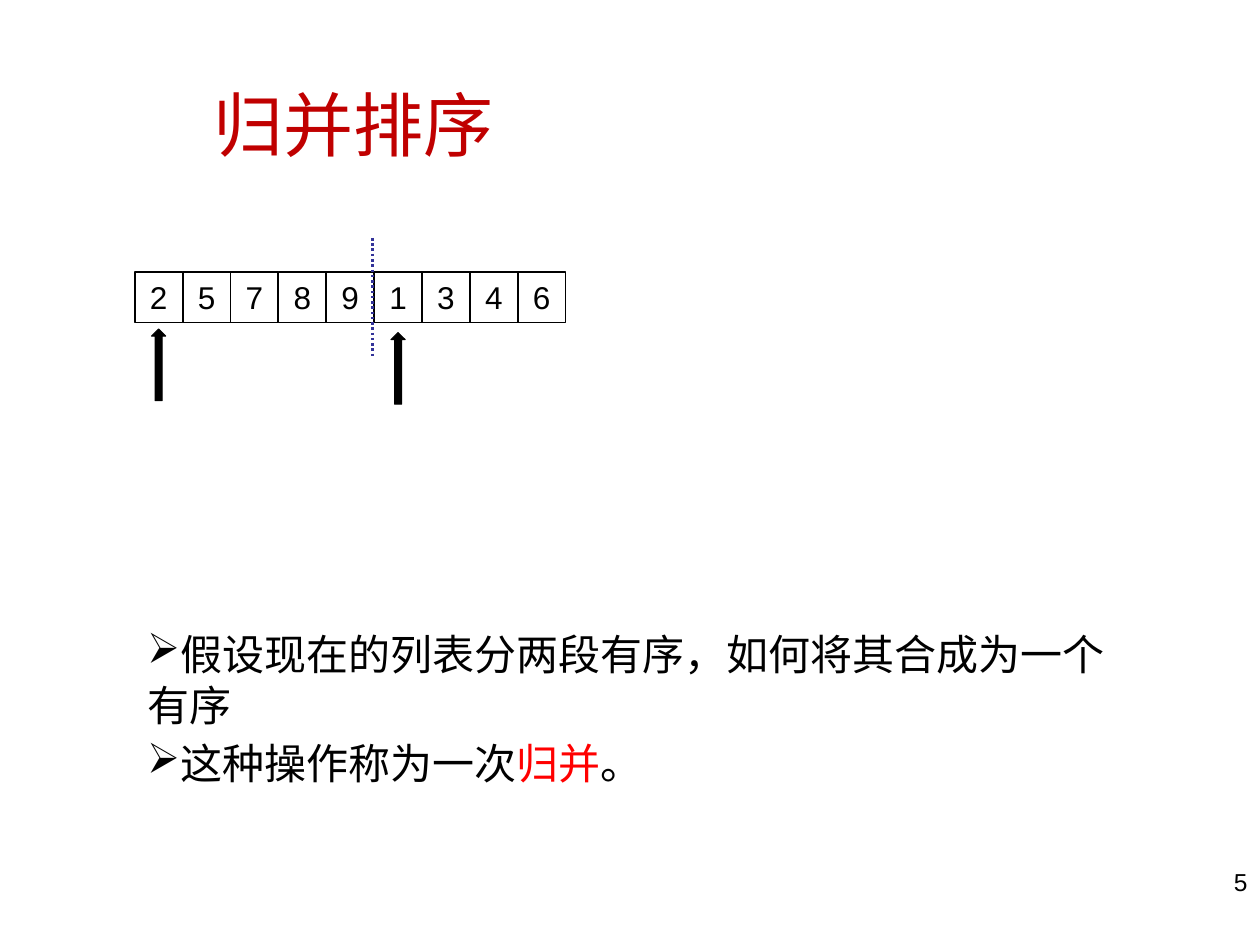
import dataclasses

import pptx
import pptx.dml.color
import pptx.enum.dml
import pptx.enum.shapes
import pptx.enum.text
import pptx.oxml.xmlchemy
import pptx.util
from lxml import etree
from pptx.oxml import ns

Pt = pptx.util.Pt
Color = pptx.dml.color.RGBColor
Align = pptx.enum.text.PP_ALIGN
Anchor = pptx.enum.text.MSO_ANCHOR
Shape = pptx.enum.shapes.MSO_SHAPE


@dataclasses.dataclass(frozen=True)
class Theme:
    ink: Color = Color(0, 0, 0)
    paper: Color = Color(255, 255, 255)
    title: Color = Color(0xC0, 0, 0)
    accent: Color = Color(255, 0, 0)
    divider: Color = Color(0x33, 0x33, 0x99)
    title_font: str = "Noto Sans CJK SC"
    body_font: str = "Arial"
    title_size: int = 40
    body_size: int = 24
    cell_size: int = 18
    number_size: int = 14


THEME = Theme()
VALUES = [2, 5, 7, 8, 9, 1, 3, 4, 6]
CELL_LEFT, CELL_TOP, CELL_WIDTH, CELL_HEIGHT = 77, 155.5, 27.36, 28.8
ARROW_WIDTH, ARROW_HEIGHT = 8.2, 41
STATEMENTS = [
    [("假设现在的列表分两段有序，如何将其合成为一个有序", THEME.ink)],
    [("这种操作称为一次", THEME.ink), ("归并", THEME.accent), ("。", THEME.ink)],
]


def format_font(para, size, color=THEME.ink, name=THEME.body_font):
    para.font.size = Pt(size)
    para.font.name = name
    para.font.color.rgb = color


def set_title(page, text):
    title = page.shapes.title
    title.left, title.top, title.width, title.height = Pt(33), Pt(63.4), Pt(338.4), Pt(34.6)
    frame = title.text_frame
    frame.text = text
    frame.auto_size = pptx.enum.text.MSO_AUTO_SIZE.NONE
    frame.vertical_anchor = Anchor.BOTTOM
    para = frame.paragraphs[0]
    para.alignment = Align.CENTER
    format_font(para, THEME.title_size, THEME.title, THEME.title_font)


def add_text_box(page, left, top, width, height):
    box = page.shapes.add_textbox(Pt(left), Pt(top), Pt(width), Pt(height))
    box.text_frame.word_wrap = True
    return box.text_frame


def add_bullet(para, symbol):
    properties = para._p.get_or_add_pPr()
    properties.set("marL", "0")
    properties.set("indent", "0")
    etree.SubElement(properties, ns.qn("a:buChar")).set("char", symbol)


def add_statements(page):
    frame = add_text_box(page, 77, 355.7, 568, 130.3)
    for index, spans in enumerate(STATEMENTS):
        para = frame.add_paragraph() if index else frame.paragraphs[0]
        add_bullet(para, "➢")
        if index:
            para.space_before = Pt(4.8)
        para.font.size = Pt(THEME.body_size)
        para.font.name = THEME.body_font
        for text, color in spans:
            span = para.add_run()
            span.text = text
            span.font.color.rgb = color


def add_page_number(page, number):
    para = add_text_box(page, 552.2, 491.8, 167.8, 37.4).paragraphs[0]
    para.text = str(number)
    para.alignment = Align.RIGHT
    format_font(para, THEME.number_size)


def add_block(page, kind, left, top, width, height, fill, line_width):
    block = page.shapes.add_shape(kind, Pt(left), Pt(top), Pt(width), Pt(height))
    block.shadow.inherit = False
    block.fill.solid()
    block.fill.fore_color.rgb = fill
    block.line.color.rgb = THEME.ink
    block.line.width = Pt(line_width)
    return block


def add_cell(page, index, value):
    left = CELL_LEFT + index * CELL_WIDTH
    cell = add_block(page, Shape.RECTANGLE, left, CELL_TOP, CELL_WIDTH, CELL_HEIGHT, THEME.paper, 1)
    frame = cell.text_frame
    frame.margin_left = frame.margin_right = 0
    frame.vertical_anchor = Anchor.MIDDLE
    para = frame.paragraphs[0]
    para.text = str(value)
    para.alignment = Align.CENTER
    format_font(para, THEME.cell_size)


def add_pointer(page, index, top):
    left = CELL_LEFT + (index + 0.5) * CELL_WIDTH - ARROW_WIDTH / 2
    add_block(page, Shape.UP_ARROW, left, top, ARROW_WIDTH, ARROW_HEIGHT, THEME.ink, 0.5)


def add_divider(page, x, top, bottom):
    divider = page.shapes.add_connector(
        pptx.enum.shapes.MSO_CONNECTOR.STRAIGHT, Pt(x), Pt(top), Pt(x), Pt(bottom))
    divider.line.color.rgb = THEME.divider
    divider.line.width = Pt(1.5)
    divider.line.dash_style = pptx.enum.dml.MSO_LINE.ROUND_DOT
    etree.SubElement(divider._element.spPr, ns.qn("a:effectLst"))


def main():
    deck = pptx.Presentation()
    deck.slide_width, deck.slide_height = Pt(720), Pt(540)
    page = deck.slides.add_slide(deck.slide_layouts.get_by_name("Title Only"))
    set_title(page, "归并排序")
    add_statements(page)
    add_page_number(page, 5)
    for index, value in enumerate(VALUES):
        add_cell(page, index, value)
    add_divider(page, 213, 136, 203.8)
    add_pointer(page, 0, 188)
    add_pointer(page, 5, 190)
    deck.save("out.pptx")


if __name__ == "__main__":
    main()
